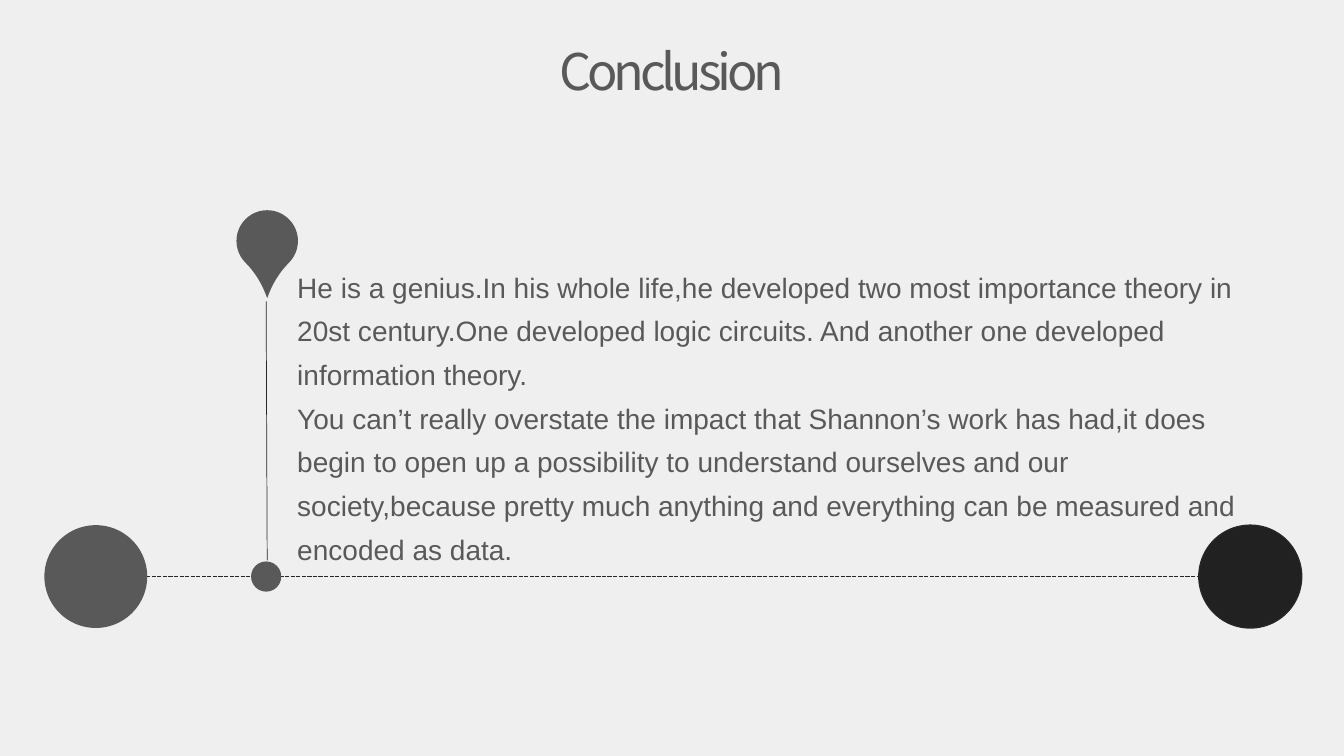
from lxml import etree
from pptx import Presentation
from pptx import util as u
from pptx.dml.color import RGBColor
from pptx.enum import dml, shapes, text
from pptx.oxml.ns import qn

GRAY, BLACK, EDGE, PAPER = "595959", "212121", "262626", "EFEFEF"
AXIS = 5.72
STORY = [
    "He is a genius.In his whole life,he developed two most importance theory in "
    "20st century.One developed logic circuits. And another one developed "
    "information theory.",
    "You can’t really overstate the impact that Shannon’s work has had,it does "
    "begin to open up a possibility to understand ourselves and our "
    "society,because pretty much anything and everything can be measured and "
    "encoded as data.",
]


def paint(fill, color):
    fill.solid()
    fill.fore_color.rgb = RGBColor.from_string(color)


def place(shape, *box):
    shape.left, shape.top, shape.width, shape.height = map(u.Inches, box)


def style(par, name, size):
    par.font.name = name
    par.font.size = u.Pt(size)
    par.font.color.rgb = RGBColor.from_string(GRAY)


def add_mark(slide, kind, x, y, size, color, edge=None):
    """Add a filled shape centred on x, y."""
    mark = slide.shapes.add_shape(
        kind, *map(u.Inches, (x - size / 2, y - size / 2, size, size)))
    mark.shadow.inherit = False
    paint(mark.fill, color)
    if edge:
        paint(mark.line.fill, edge)
        mark.line.width = u.Pt(1)
    else:
        mark.line.fill.background()
    return mark


def add_line(slide, start, end, width, dash=None):
    line = slide.shapes.add_connector(
        shapes.MSO_CONNECTOR.STRAIGHT, *map(u.Inches, start + end))
    paint(line.line.fill, EDGE)
    line.line.width = u.Pt(width)
    if dash:
        line.line.dash_style = dash
    etree.SubElement(line._element.spPr, qn("a:effectLst"))


def add_title(slide, words):
    title = slide.shapes.title
    place(title, 3.82, 0.35, 5.69, 0.71)
    frame = title.text_frame
    frame.text = words
    frame.auto_size = text.MSO_AUTO_SIZE.NONE
    frame.vertical_anchor = text.MSO_ANCHOR.TOP
    par = frame.paragraphs[0]
    par.alignment = text.PP_ALIGN.CENTER
    style(par, "Noto Sans CJK SC", 36)
    par.runs[0].font._element.set("spc", "-300")


def add_story(slide, parts):
    box = slide.shapes.add_textbox(*map(u.Inches, (2.85, 2.53, 9.87, 3.16)))
    frame = box.text_frame
    frame.word_wrap = True
    frame.text = "\n".join(parts)
    for par in frame.paragraphs:
        par.line_spacing = 1.3
        style(par, "Arial", 20)


def main():
    deck = Presentation()
    deck.slide_width, deck.slide_height = u.Inches(13.33), u.Inches(7.5)
    slide = deck.slides.add_slide(deck.slide_layouts[5])
    paint(slide.background.fill, PAPER)
    add_title(slide, "Conclusion")

    oval = shapes.MSO_SHAPE.OVAL
    add_line(slide, (1.45, AXIS), (11.89, AXIS), 1, dml.MSO_LINE.SQUARE_DOT)
    add_mark(slide, oval, 0.95, AXIS, 1.02, GRAY)
    add_mark(slide, oval, 12.4, AXIS, 1.02, BLACK, EDGE)
    add_mark(slide, oval, 2.64, AXIS, 0.3, GRAY)
    add_story(slide, STORY)
    add_line(slide, (2.64, 2.99), (2.65, 5.56), 0.5)
    pin = add_mark(slide, shapes.MSO_SHAPE.TEAR, 2.65, 2.39, 0.61, GRAY)
    pin.rotation = 135
    pin.adjustments[0] = 1.316

    deck.save("out.pptx")


if __name__ == "__main__":
    main()
